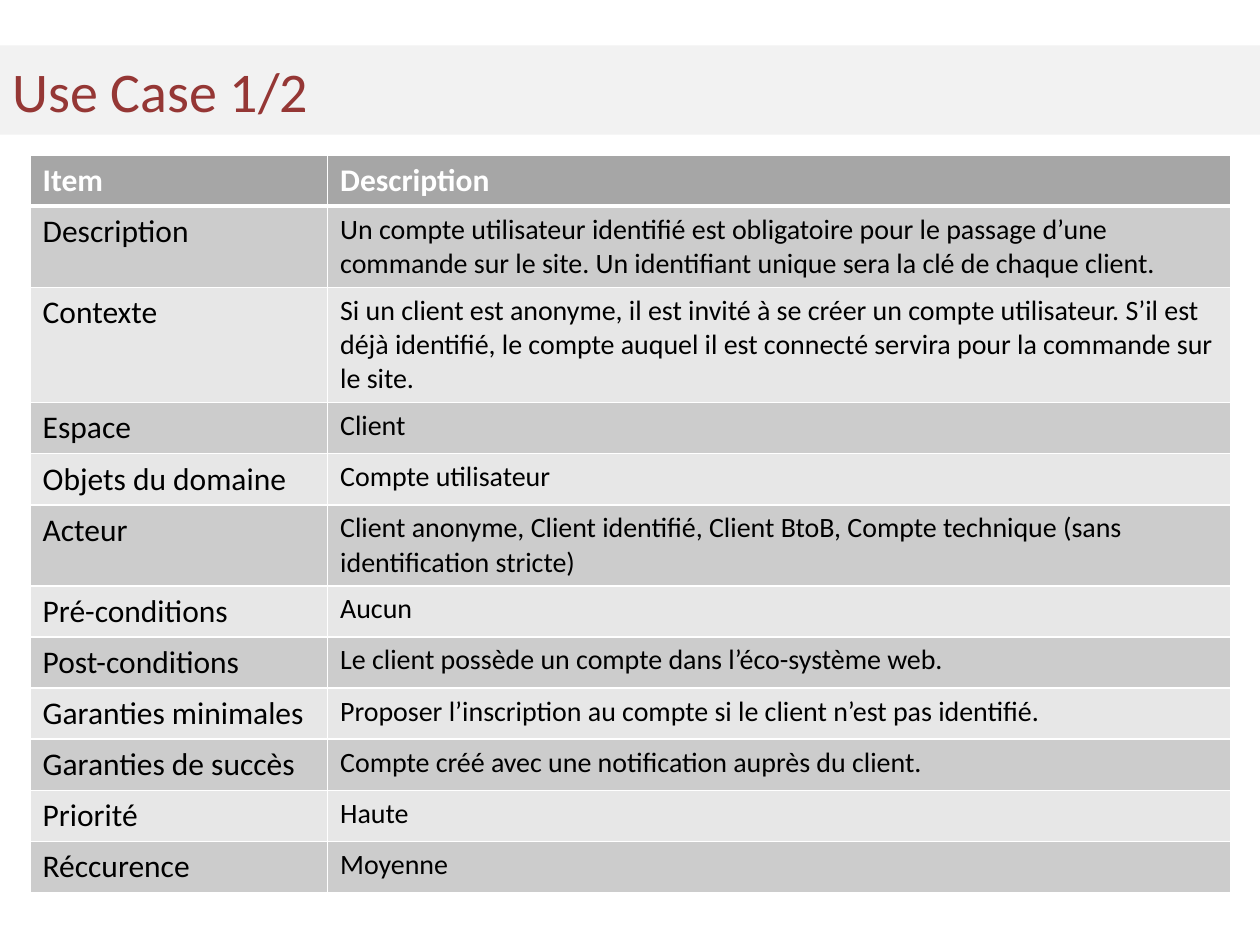
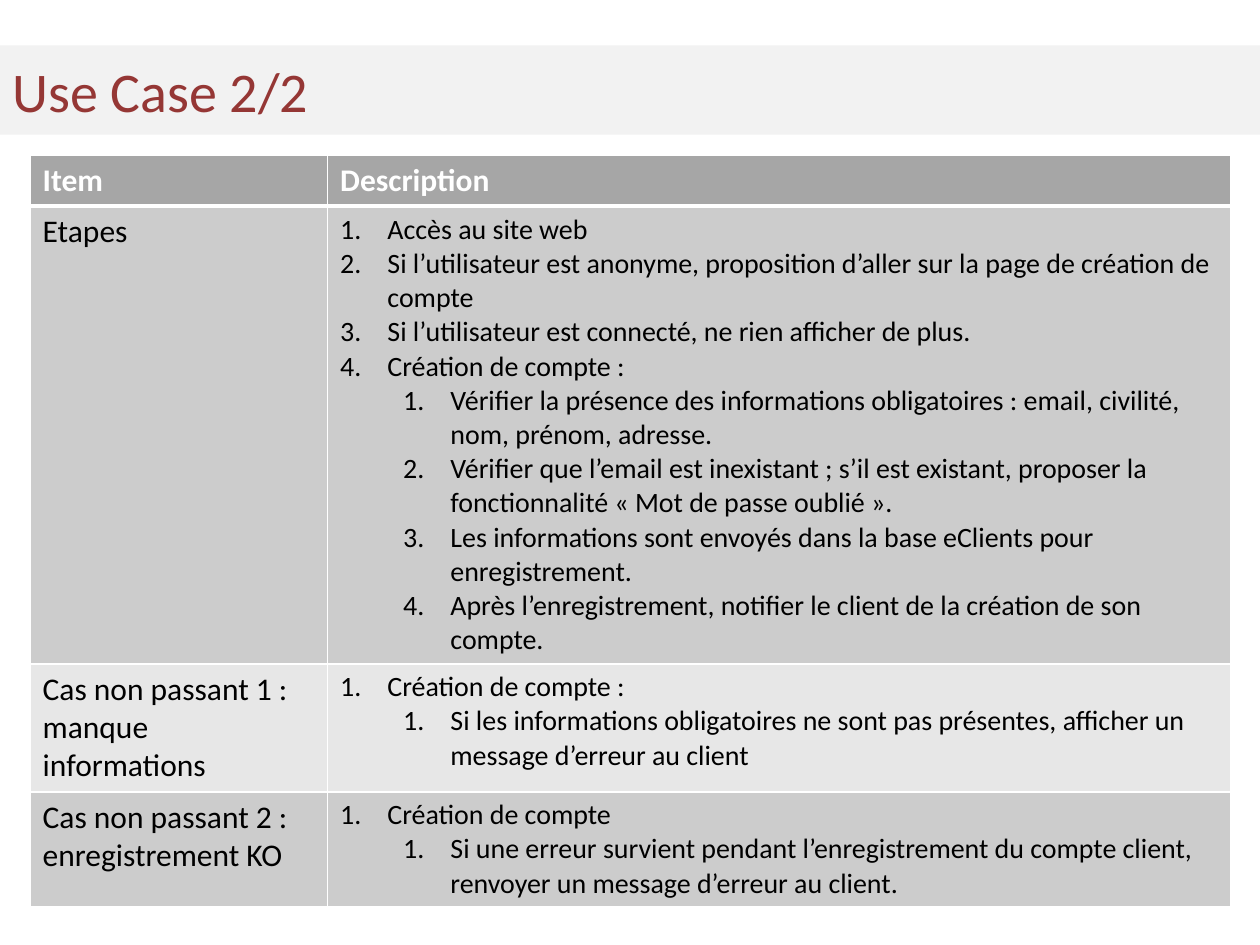
"""Build the two use-case slides: a title band above an item/description table."""
from dataclasses import dataclass

from lxml.etree import SubElement
from pptx import Presentation
from pptx.dml.color import RGBColor
from pptx.enum.shapes import MSO_SHAPE
from pptx.enum.text import MSO_ANCHOR, PP_ALIGN
from pptx.oxml import parse_xml
from pptx.oxml.ns import nsdecls, qn
from pptx.util import Pt


@dataclass(frozen=True)
class Theme:
    """Colours, font and type sizes shared by the slides."""

    font: str = "Calibri"
    band: str = "F2F2F2"
    title: str = "953735"
    header: str = "A6A6A6"
    stripes: tuple = ("CCCCCC", "E7E7E7")
    light: str = "FFFFFF"
    dark: str = "000000"
    title_size: int = 32
    item_size: int = 18
    detail_size: int = 16


@dataclass(frozen=True)
class Step:
    """One numbered step and its nesting level."""

    text: str
    level: int = 0


THEME = Theme()
SLIDE_WIDTH, SLIDE_HEIGHT = Pt(720), Pt(540)
BAND_TOP, BAND_HEIGHT = Pt(26), Pt(51)
TABLE_LEFT, TABLE_TOP = Pt(17.2), Pt(88.6)
COLUMN_WIDTHS = (Pt(170), Pt(516))
HEADER_HEIGHT, ROW_HEIGHT = Pt(28), Pt(29.2)
STEP_INDENT, LEVEL_INDENT = Pt(27), Pt(36)
RULE, HEADER_RULE = Pt(1), Pt(3)

OVERVIEW = (
    ("Description", "Un compte utilisateur identifié est obligatoire pour le passage d’une "
     "commande sur le site. Un identifiant unique sera la clé de chaque client."),
    ("Contexte", "Si un client est anonyme, il est invité à se créer un compte utilisateur. "
     "S’il est déjà identifié, le compte auquel il est connecté servira pour la commande "
     "sur le site."),
    ("Espace", "Client"),
    ("Objets du domaine", "Compte utilisateur"),
    ("Acteur", "Client anonyme, Client identifié, Client BtoB, Compte technique "
     "(sans identification stricte)"),
    ("Pré-conditions", "Aucun"),
    ("Post-conditions", "Le client possède un compte dans l’éco-système web."),
    ("Garanties minimales", "Proposer l’inscription au compte si le client n’est pas identifié."),
    ("Garanties de succès", "Compte créé avec une notification auprès du client."),
    ("Priorité", "Haute"),
    ("Réccurence", "Moyenne"),
)

SCENARIOS = (
    ("Etapes", (
        Step("Accès au site web"),
        Step("Si l’utilisateur est anonyme, proposition d’aller sur la page de création "
             "de compte"),
        Step("Si l’utilisateur est connecté, ne rien afficher de plus."),
        Step("Création de compte :"),
        Step("Vérifier la présence des informations obligatoires : email, civilité, nom, "
             "prénom, adresse.", 1),
        Step("Vérifier que l’email est inexistant ; s’il est existant, proposer la "
             "fonctionnalité «\u00a0Mot de passe oublié\u00a0».", 1),
        Step("Les informations sont envoyés dans la base eClients pour enregistrement.", 1),
        Step("Après l’enregistrement, notifier le client de la création de son compte.", 1),
    )),
    ("Cas non passant 1 : manque informations", (
        Step("Création de compte :"),
        Step("Si les informations obligatoires ne sont pas présentes, afficher un message "
             "d’erreur au client", 1),
    )),
    ("Cas non passant 2 : enregistrement KO", (
        Step("Création de compte"),
        Step("Si une erreur survient pendant l’enregistrement du compte client, renvoyer "
             "un message d’erreur au client.", 1),
    )),
)


def style_paragraph(paragraph, size, color, bold=False):
    """Set the type of a whole paragraph."""
    font = paragraph.font
    font.name, font.size, font.bold = THEME.font, Pt(size), bold
    font.color.rgb = RGBColor.from_string(color)


def fill_solid(fill, color):
    """Apply a plain fill colour."""
    fill.solid()
    fill.fore_color.rgb = RGBColor.from_string(color)


def add_title_band(slide, title):
    """Draw the full-width band that carries the title."""
    band = slide.shapes.add_shape(MSO_SHAPE.RECTANGLE, 0, BAND_TOP, SLIDE_WIDTH, BAND_HEIGHT)
    band.shadow.inherit = False
    fill_solid(band.fill, THEME.band)
    band.line.fill.background()
    frame = band.text_frame
    frame.vertical_anchor = MSO_ANCHOR.MIDDLE
    heading = frame.paragraphs[0]
    heading.text, heading.alignment = title, PP_ALIGN.LEFT
    style_paragraph(heading, THEME.title_size, THEME.title)


def number_step(paragraph, level):
    """Give a paragraph a hanging number at its level."""
    paragraph.level = level
    properties = paragraph._p.get_or_add_pPr()
    properties.set("marL", str(STEP_INDENT + level * LEVEL_INDENT))
    properties.set("indent", str(-STEP_INDENT))
    properties.insert(0, parse_xml(f'<a:buAutoNum {nsdecls("a")} type="arabicPeriod"/>'))


def rule_cell(cell, top, bottom):
    """Draw the white rules around a cell."""
    properties = cell._tc.get_or_add_tcPr()
    for side, width in (("L", RULE), ("R", RULE), ("T", top), ("B", bottom)):
        line = SubElement(properties, qn(f"a:ln{side}"), w=str(width))
        paint = SubElement(line, qn("a:solidFill"))
        SubElement(paint, qn("a:srgbClr"), val=THEME.light)


def write_cell(cell, content, size, color, bold):
    """Write plain text or numbered steps into a cell."""
    if isinstance(content, str):
        cell.text = content
    else:
        cell.text = "\n".join(step.text for step in content)
        for paragraph, step in zip(cell.text_frame.paragraphs, content):
            number_step(paragraph, step.level)
    for paragraph in cell.text_frame.paragraphs:
        style_paragraph(paragraph, size, color, bold)


def add_item_table(slide, entries, height):
    """Build the striped table of items and descriptions."""
    rows = (("Item", "Description"), *entries)
    frame = slide.shapes.add_table(
        len(rows), len(COLUMN_WIDTHS), TABLE_LEFT, TABLE_TOP, sum(COLUMN_WIDTHS), height)
    table = frame.table
    for column, width in zip(table.columns, COLUMN_WIDTHS):
        column.width = width
    for index, row in enumerate(rows):
        is_header = index == 0
        table.rows[index].height = HEADER_HEIGHT if is_header else ROW_HEIGHT
        background = THEME.header if is_header else THEME.stripes[(index - 1) % 2]
        color = THEME.light if is_header else THEME.dark
        sizes = (THEME.item_size, THEME.item_size if is_header else THEME.detail_size)
        for position, (content, size) in enumerate(zip(row, sizes)):
            cell = table.cell(index, position)
            rule_cell(cell, HEADER_RULE if index == 1 else RULE,
                      HEADER_RULE if is_header else RULE)
            fill_solid(cell.fill, background)
            write_cell(cell, content, size, color, is_header)
    frame.height = height


def main():
    """Create and save the presentation."""
    deck = Presentation()
    deck.slide_width, deck.slide_height = SLIDE_WIDTH, SLIDE_HEIGHT
    pages = (("Use Case 1/2", OVERVIEW, Pt(418)), ("Use Case 2/2", SCENARIOS, Pt(423)))
    for title, entries, table_height in pages:
        slide = deck.slides.add_slide(deck.slide_layouts[6])
        add_title_band(slide, title)
        add_item_table(slide, entries, table_height)
    deck.save("out.pptx")


main()
